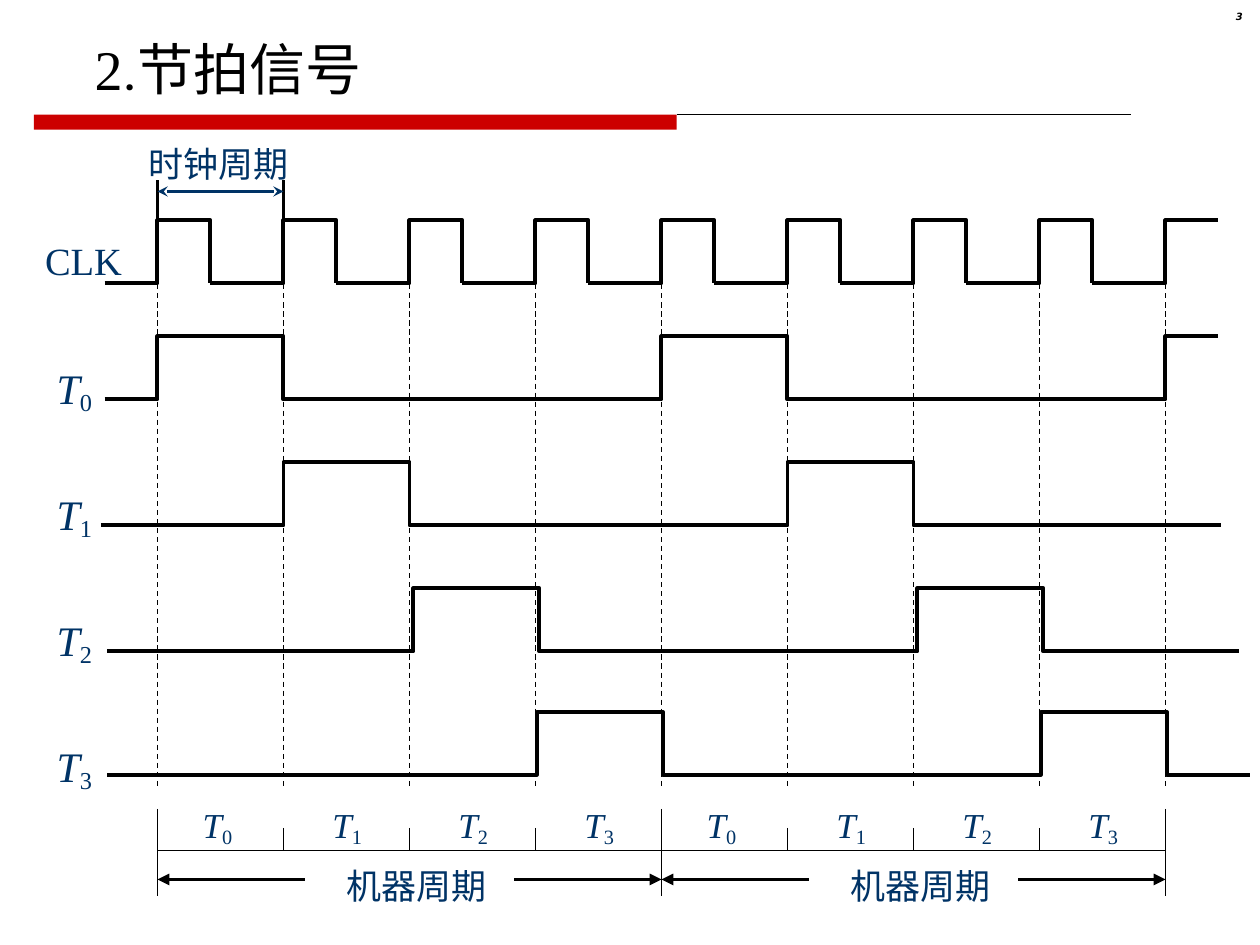
from dataclasses import dataclass
from typing import Optional

from lxml import etree
from pptx import Presentation
from pptx.dml.color import RGBColor
from pptx.enum import dml, shapes, text
from pptx.oxml import ns
from pptx.util import Inches, Pt

BLACK, NAVY, RED = "000000", "003366", "CC0000"
SERIF = "Times New Roman"
FIRST_EDGE = 1.25  # first clock edge; one clock cycle is one inch
CYCLES, BEATS = 8, 4
PULSE = 0.5


@dataclass
class Beat:
    low: float
    start: float
    end: float
    shift: float = 0.0


@dataclass
class Style:
    size: float
    color: str = NAVY
    font: str = SERIF
    bold: bool = False
    italic: bool = False


BEAT_WAVES = [
    Beat(3.17, 0.83, 9.67),
    Beat(4.17, 0.8, 9.69),
    Beat(5.17, 0.85, 9.83, 0.03),
    Beat(6.15, 0.85, 9.92, 0.01),
]


def rgb(color: str) -> RGBColor:
    return RGBColor.from_string(color)


def format_run(run, style: Style) -> None:
    run.font.size = Pt(style.size)
    run.font.name = style.font
    run.font.bold, run.font.italic = style.bold, style.italic
    run.font.color.rgb = rgb(style.color)


def label(slide, words: str, left: float, top: float, width: float,
          height: float, style: Style, subscript: str = "", grow: bool = True):
    box = slide.shapes.add_textbox(*map(Inches, (left, top, width, height)))
    box.text_frame.word_wrap = not grow
    if grow:
        box.text_frame.auto_size = text.MSO_AUTO_SIZE.SHAPE_TO_FIT_TEXT
    paragraph = box.text_frame.paragraphs[0]
    paragraph.text = words
    format_run(paragraph.runs[0], style)
    if subscript:
        index = paragraph.add_run()
        index.text = subscript
        format_run(index, Style(style.size))
        index.font._element.set("baseline", "-15000")
    return paragraph


def beat_label(slide, number: int, left: float, top: float, width: float,
               height: float, size: float) -> None:
    label(slide, "T", left, top, width, height, Style(size, italic=True), str(number))


def line(slide, x1: float, y1: float, x2: float, y2: float, width: float = 0.75,
         color: str = BLACK, dashed: bool = False, head: str = "", tail: str = "") -> None:
    connector = slide.shapes.add_connector(
        shapes.MSO_CONNECTOR.STRAIGHT, *map(Inches, (x1, y1, x2, y2)))
    connector.line.color.rgb = rgb(color)
    connector.line.width = Pt(width)
    if dashed:
        connector.line.dash_style = dml.MSO_LINE.DASH
    properties = connector._element.spPr
    for tag, arrow in (("a:headEnd", head), ("a:tailEnd", tail)):
        if arrow:
            outline = connector.line._get_or_add_ln()
            etree.SubElement(outline, ns.qn(tag)).set("type", arrow)
    etree.SubElement(properties, ns.qn("a:effectLst"))


def wave(slide, low: float, start: float, edges: list[float],
         end: Optional[float] = None) -> None:
    """Draw a signal that starts low and toggles at every edge."""
    level, other = low, low - PULSE
    points = [(start, level)]
    for edge in edges:
        points += [(edge, level), (edge, other)]
        level, other = other, level
    if end is not None:
        points.append((end, level))
    corners = [(Inches(x), Inches(y)) for x, y in points]
    builder = slide.shapes.build_freeform(*corners[0], scale=1.0)
    builder.add_line_segments(corners[1:], close=False)
    signal = builder.convert_to_shape()
    signal.shadow.inherit = False
    signal.fill.background()
    signal.line.color.rgb = rgb(BLACK)
    signal.line.width = Pt(2.25)


def draw_heading(slide) -> None:
    line(slide, 5.37, 0.91, 8.98, 0.91)
    bar = slide.shapes.add_shape(
        shapes.MSO_SHAPE.RECTANGLE, *map(Inches, (0.27, 0.91, 5.1, 0.12)))
    bar.shadow.inherit = False
    bar.fill.solid()
    bar.fill.fore_color.rgb = rgb(RED)
    bar.line.fill.background()

    page = label(slide, "3", 9.37, 0.05, 0.59, 0.23,
                 Style(5.7, BLACK, "DejaVu Sans", bold=True, italic=True), grow=False)
    page.alignment = text.PP_ALIGN.RIGHT
    page.line_spacing = 0.8

    title = slide.shapes.title
    title.left, title.top, title.width, title.height = map(
        Inches, (0.65, 0.22, 3.93, 0.64))
    title.text_frame.vertical_anchor = text.MSO_ANCHOR.TOP
    heading = title.text_frame.paragraphs[0]
    heading.alignment = text.PP_ALIGN.LEFT
    for words, font in (("2", SERIF), (".节拍信号", "Roboto")):
        run = heading.add_run()
        run.text = words
        format_run(run, Style(32, BLACK, font))


def draw_signals(slide) -> None:
    for number, beat in enumerate(BEAT_WAVES):
        rises = [FIRST_EDGE + number + beat.shift + BEATS * k for k in range(2)]
        edges = [x for rise in rises for x in (rise, rise + 1)]
        if number == 0:
            edges.append(FIRST_EDGE + CYCLES)
        wave(slide, beat.low, beat.start, edges, beat.end)
        beat_label(slide, number, 0.35, 2.83 + number, 0.48, 0.52, 24)

    label(slide, "CLK", 0.26, 1.83, 0.81, 0.47, Style(22))
    for cycle in range(CYCLES + 1):
        rise = FIRST_EDGE + cycle
        start = rise - 0.58 if cycle else 0.83
        if cycle < CYCLES:
            wave(slide, 2.25, start, [rise, rise + 0.42])
        else:
            wave(slide, 2.25, start, [rise], rise + 0.42)
        line(slide, rise, 1.97, rise, 6.25, dashed=True)


def draw_clock_period(slide) -> None:
    for x in (FIRST_EDGE, FIRST_EDGE + 1):
        line(slide, x, 1.43, x, 1.77, 1.5)
    line(slide, FIRST_EDGE, 1.52, FIRST_EDGE + 1, 1.52, 1.5, NAVY,
         head="stealth", tail="stealth")
    label(slide, "时钟周期", 1.08, 1.08, 1.31, 0.44, Style(20))


def draw_machine_periods(slide) -> None:
    line(slide, FIRST_EDGE, 6.75, FIRST_EDGE + CYCLES, 6.75)
    for cycle in range(CYCLES + 1):
        x = FIRST_EDGE + cycle
        top, bottom = (6.57, 6.75) if cycle % BEATS else (6.42, 7.11)
        line(slide, x, top, x, bottom)
        if cycle < CYCLES:
            inset = 0.29 if cycle % BEATS else 0.26
            beat_label(slide, cycle % BEATS, x + inset, 6.33, 0.44, 0.45, 20)
    for left in (FIRST_EDGE, FIRST_EDGE + BEATS):
        right = left + BEATS
        line(slide, right - 1.17, 6.98, right, 6.98, 2.25, tail="triangle")
        line(slide, left + 1.17, 6.98, left, 6.98, 2.25, tail="triangle")
        label(slide, "机器周期", left + 1.4, 6.81, 1.31, 0.44, Style(20))


def main() -> None:
    deck = Presentation()
    deck.slide_width, deck.slide_height = Inches(10), Inches(7.5)
    slide = deck.slides.add_slide(deck.slide_layouts[5])
    draw_heading(slide)
    draw_signals(slide)
    draw_clock_period(slide)
    draw_machine_periods(slide)
    deck.save("out.pptx")


if __name__ == "__main__":
    main()
